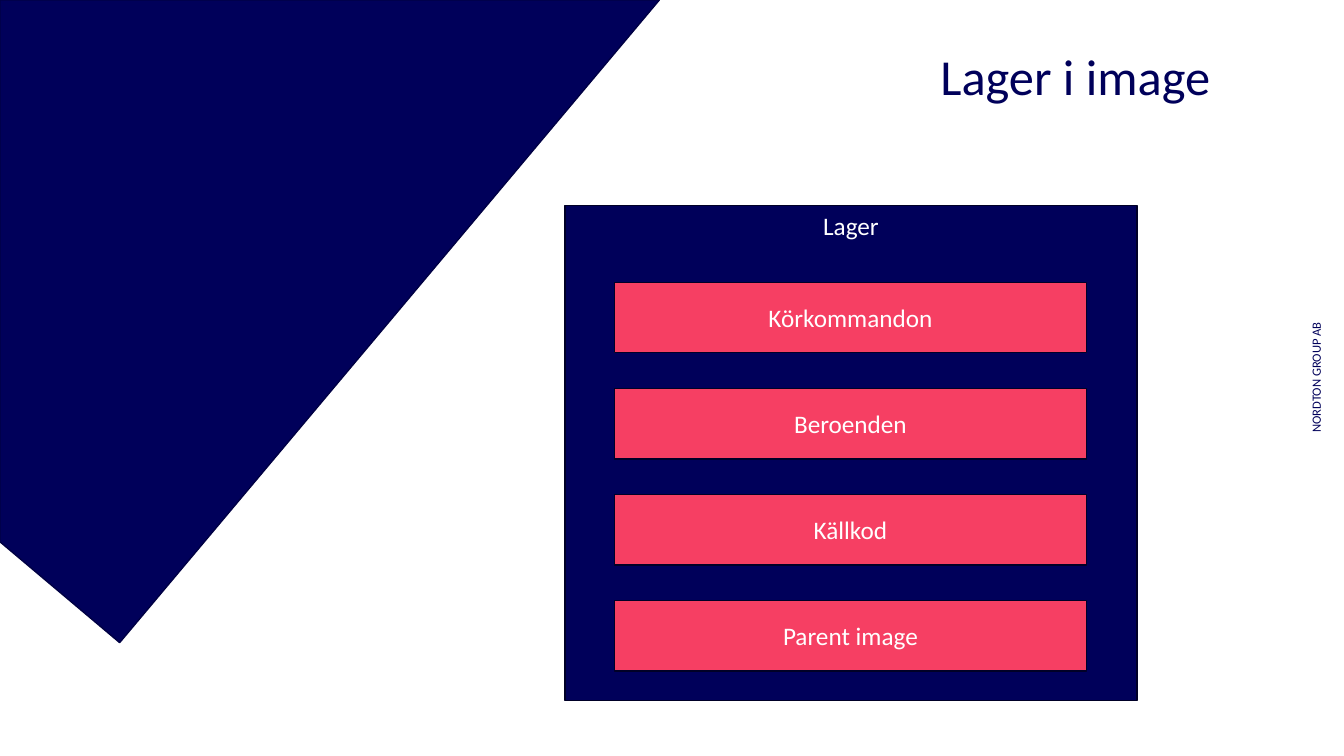
"""Build the slide showing the layers of an image."""
from dataclasses import dataclass

from pptx import Presentation
from pptx import util as u
from pptx.dml.color import RGBColor
from pptx.enum import shapes, text
from pptx.shapes.autoshape import Shape
from pptx.slide import Slide
from pptx.text.text import TextFrame

PX = 9525
FONT = "Calibri"
COLORS = {
    "navy": "00005A",
    "wedge_line": "000043",
    "box_line": "000027",
    "coral": "F63F63",
    "white": "FFFFFF",
}
WEDGE = [(0, 0), (628, 0), (114, 612), (0, 516)]
LAYERS = ["Körkommandon", "Beroenden", "Källkod", "Parent image"]
FIRST_LAYER_TOP = 269
LAYER_PITCH = 101


@dataclass(frozen=True)
class Box:
    """A labelled rectangle measured in px."""

    label: str
    left: int
    top: int
    width: int
    height: int
    fill: str
    anchor: text.MSO_ANCHOR


def rgb(name: str) -> RGBColor:
    """Return the named colour."""
    return RGBColor.from_string(COLORS[name])


def px(*lengths: int) -> list[u.Emu]:
    """Turn px lengths into EMU."""
    return [u.Emu(length * PX) for length in lengths]


def write(frame: TextFrame, label: str, size: int, color: str,
          align: text.PP_ALIGN, anchor: text.MSO_ANCHOR) -> None:
    """Fill a text frame with one formatted paragraph."""
    frame.text = label
    frame.word_wrap = True
    frame.auto_size = text.MSO_AUTO_SIZE.NONE
    frame.vertical_anchor = anchor
    paragraph = frame.paragraphs[0]
    paragraph.alignment = align
    paragraph.font.name = FONT
    paragraph.font.size = u.Pt(size)
    paragraph.font.color.rgb = rgb(color)


def paint(shape: Shape, fill: str, line: str) -> None:
    """Give a shape a flat fill and a thin outline."""
    shape.shadow.inherit = False
    shape.fill.solid()
    shape.fill.fore_color.rgb = rgb(fill)
    shape.line.color.rgb = rgb(line)
    shape.line.width = u.Pt(1)


def draw_wedge(slide: Slide) -> None:
    """Draw the slanted area in the top left corner."""
    builder = slide.shapes.build_freeform(*WEDGE[0], scale=PX)
    builder.add_line_segments(WEDGE[1:], close=True)
    paint(builder.convert_to_shape(), "navy", "wedge_line")


def draw_company(slide: Slide) -> None:
    """Draw the company name upright at the right edge."""
    company = slide.shapes.add_textbox(*px(1138, 349, 224, 21))
    company.rotation = 270
    frame = company.text_frame
    frame.margin_left = frame.margin_right = 0
    frame.margin_top = frame.margin_bottom = 0
    write(frame, "NORDTON GROUP AB", 9, "navy",
          text.PP_ALIGN.CENTER, text.MSO_ANCHOR.BOTTOM)


def format_title(slide: Slide) -> None:
    """Place and format the title."""
    title = slide.shapes.title
    title.left, title.top, title.width, title.height = px(886, 44, 667, 63)
    write(title.text_frame, "Lager i image", 36, "navy",
          text.PP_ALIGN.LEFT, text.MSO_ANCHOR.MIDDLE)
    title.text_frame.paragraphs[0].line_spacing = 0.9


def draw_box(slide: Slide, box: Box) -> None:
    """Draw one labelled rectangle."""
    shape = slide.shapes.add_shape(
        shapes.MSO_SHAPE.RECTANGLE,
        *px(box.left, box.top, box.width, box.height))
    paint(shape, box.fill, "box_line")
    write(shape.text_frame, box.label, 18, "white",
          text.PP_ALIGN.CENTER, box.anchor)


def main() -> None:
    """Build and save the presentation."""
    presentation = Presentation()
    presentation.slide_width, presentation.slide_height = px(1280, 720)
    slide = presentation.slides.add_slide(presentation.slide_layouts[5])
    draw_company(slide)
    draw_wedge(slide)
    format_title(slide)
    draw_box(slide, Box("Lager", 538, 196, 545, 471, "navy",
                        text.MSO_ANCHOR.TOP))
    for index, layer in enumerate(LAYERS):
        top = FIRST_LAYER_TOP + index * LAYER_PITCH
        draw_box(slide, Box(layer, 585, top, 450, 67, "coral",
                            text.MSO_ANCHOR.MIDDLE))
    presentation.save("out.pptx")


if __name__ == "__main__":
    main()
